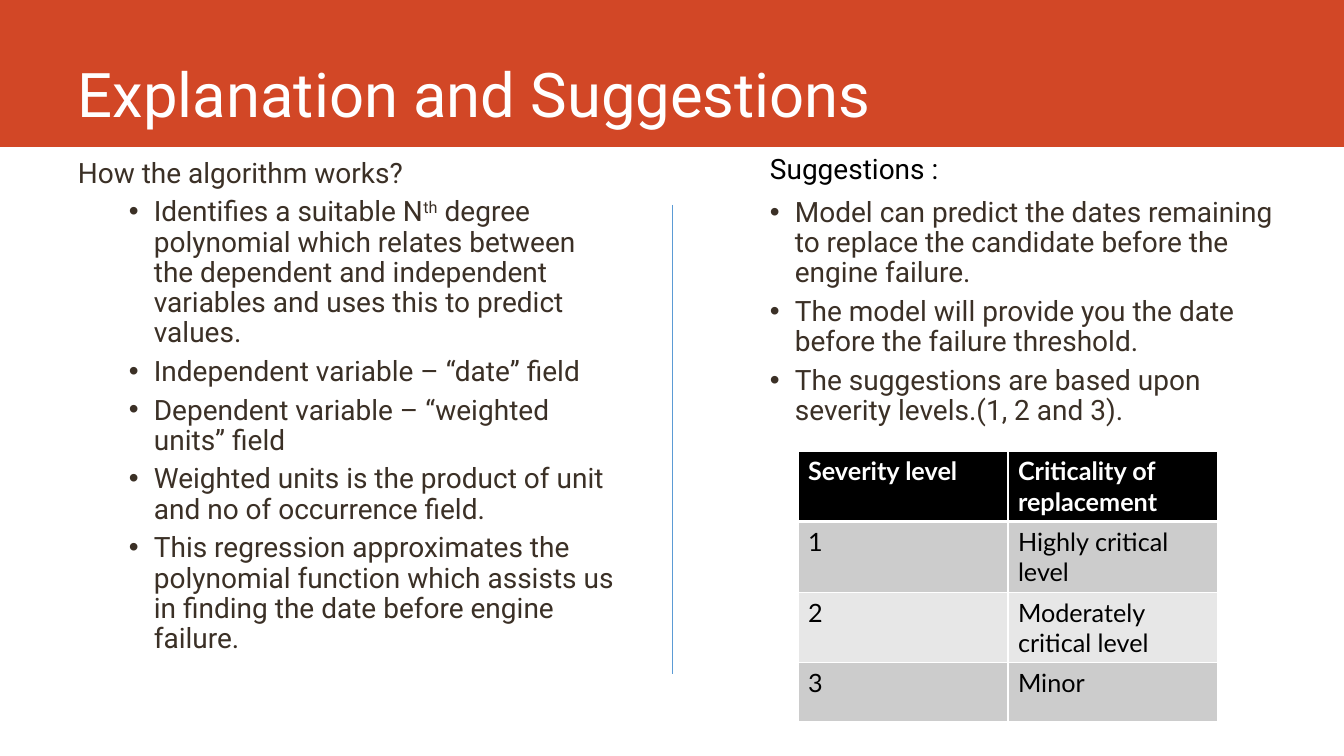
from dataclasses import dataclass
from itertools import cycle

from lxml.etree import SubElement
from pptx import Presentation
from pptx.dml.color import RGBColor
from pptx.enum.shapes import MSO_CONNECTOR, MSO_SHAPE
from pptx.enum.text import MSO_ANCHOR
from pptx.oxml.ns import qn
from pptx.util import Emu, Pt


@dataclass(frozen=True)
class Theme:
    """Colours, fonts and type sizes of the slide."""
    banner: str = "D24726"
    white: str = "FFFFFF"
    black: str = "000000"
    body: str = "3B3026"
    divider: str = "5B9BD5"
    bands: tuple = ("CCCCCC", "E7E7E7")
    text_font: str = "Roboto"
    table_font: str = "Lato"
    title_size: int = 44
    body_size: int = 20
    table_size: int = 18


THEME = Theme()
WORKINGS = [
    ("Identifies a suitable N", "th", " degree polynomial which relates between the dependent "
     "and independent variables and uses this to predict values."),
    ("Independent variable – “date” field",),
    ("Dependent variable – “weighted units” field",),
    ("Weighted units is the product of unit and no of occurrence field.",),
    ("This regression approximates the polynomial function which assists us in finding "
     "the date before engine failure.",),
]
SUGGESTIONS = [
    ("Model can predict the dates remaining to replace the candidate before the engine failure.",),
    ("The model will provide you the date before the failure threshold.",),
    ("The suggestions are based upon severity levels.(1, 2 and 3).",),
]
SEVERITY = [
    ("Severity level", "Criticality of replacement"),
    ("1", "Highly critical level"),
    ("2", "Moderately critical level"),
    ("3", "Minor"),
]


def px(length):
    """Turn pixels into EMU."""
    return Emu(round(length * 914400 / 100.8))


def apply(target, values):
    """Set each format value on the target."""
    for name, value in values.items():
        setattr(target, name, value)


def write(paragraph, words, color, size, face=THEME.text_font, bold=False):
    """Add runs to a paragraph, every second one in superscript."""
    for text, raised in zip(words, cycle((False, True))):
        run = paragraph.add_run()
        run.text = text
        apply(run.font, {"name": face, "size": Pt(size), "bold": bold})
        run.font.color.rgb = RGBColor.from_string(color)
        if raised:
            run.font._element.set("baseline", "30000")


def add_box(slide, box, anchor=MSO_ANCHOR.TOP):
    """Add a wrapping text box and return its text frame."""
    frame = slide.shapes.add_textbox(*map(px, box)).text_frame
    apply(frame, {"word_wrap": True, "vertical_anchor": anchor})
    return frame


def add_heading(slide, box, text, color, size, anchor=MSO_ANCHOR.TOP):
    """Add a one-paragraph text box and return its text frame."""
    frame = add_box(slide, box, anchor)
    write(frame.paragraphs[0], (text,), color, size)
    return frame


def add_bullets(frame, items, margin):
    """Fill a text frame with bulleted paragraphs after any text it holds."""
    for item in items:
        first = frame.paragraphs[0]
        paragraph = frame.add_paragraph() if first.runs else first
        apply(paragraph, {"line_spacing": 0.9, "space_before": Pt(6)})
        properties = paragraph._p.get_or_add_pPr()
        properties.set("marL", str(px(margin)))
        properties.set("indent", str(-px(25)))
        SubElement(properties, qn("a:buFont"), typeface="Arial")
        SubElement(properties, qn("a:buChar"), char="•")
        write(paragraph, item, THEME.body, THEME.body_size)


def add_banner(slide, box):
    """Add the coloured band behind the title."""
    banner = slide.shapes.add_shape(MSO_SHAPE.RECTANGLE, *map(px, box))
    banner.shadow.inherit = False
    banner.fill.solid()
    banner.fill.fore_color.rgb = RGBColor.from_string(THEME.banner)
    banner.line.fill.background()


def add_divider(slide, x, top, bottom):
    """Add the thin vertical line between the columns."""
    divider = slide.shapes.add_connector(MSO_CONNECTOR.STRAIGHT, *map(px, (x, top, x, bottom)))
    divider.line.width = Pt(0.5)
    divider.line.color.rgb = RGBColor.from_string(THEME.divider)
    SubElement(divider._element.spPr, qn("a:effectLst"))


def add_borders(cell, bottom):
    """Draw white cell borders, with the bottom one in its own weight."""
    properties = cell._tc.get_or_add_tcPr()
    for side, weight in {"L": 1, "R": 1, "T": 1, "B": bottom}.items():
        edge = SubElement(properties, qn(f"a:ln{side}"), w=str(Pt(weight)))
        SubElement(SubElement(edge, qn("a:solidFill")), qn("a:srgbClr"), val=THEME.white)


def add_severity_table(slide, left, top, column_width, row_height):
    """Add the table of severity levels."""
    rows, columns = len(SEVERITY), len(SEVERITY[0])
    size = (columns * column_width, rows * row_height)
    table = slide.shapes.add_table(rows, columns, *map(px, (left, top, *size))).table
    for r, texts in enumerate(SEVERITY):
        header = r == 0
        fill = THEME.black if header else THEME.bands[(r - 1) % 2]
        color = THEME.white if header else THEME.black
        for c, text in enumerate(texts):
            cell = table.cell(r, c)
            add_borders(cell, 3 if header else 1)
            cell.fill.solid()
            cell.fill.fore_color.rgb = RGBColor.from_string(fill)
            write(cell.text_frame.paragraphs[0], (text,), color, THEME.table_size,
                  THEME.table_font, header)


def main():
    """Build the slide and save it."""
    deck = Presentation()
    apply(deck, {"slide_width": px(1344), "slide_height": px(756)})
    slide = deck.slides.add_slide(deck.slide_layouts[6])
    add_banner(slide, (0, 0, 1344, 147))
    add_heading(slide, (68, 0, 1184, 135), "Explanation and Suggestions",
                THEME.white, THEME.title_size, MSO_ANCHOR.BOTTOM)
    workings = add_heading(slide, (68, 154, 562, 528), "How the algorithm works?",
                           THEME.body, THEME.body_size)
    workings.paragraphs[0].line_spacing = 0.9
    add_bullets(workings, WORKINGS, 76)
    add_bullets(add_box(slide, (760, 193, 537, 248)), SUGGESTIONS, 25)
    add_heading(slide, (760, 147, 346, 44), "Suggestions :", THEME.black, THEME.body_size)
    add_severity_table(slide, 798, 451, 210, 59)
    add_divider(slide, 672, 205, 674)
    deck.save("out.pptx")


if __name__ == "__main__":
    main()
